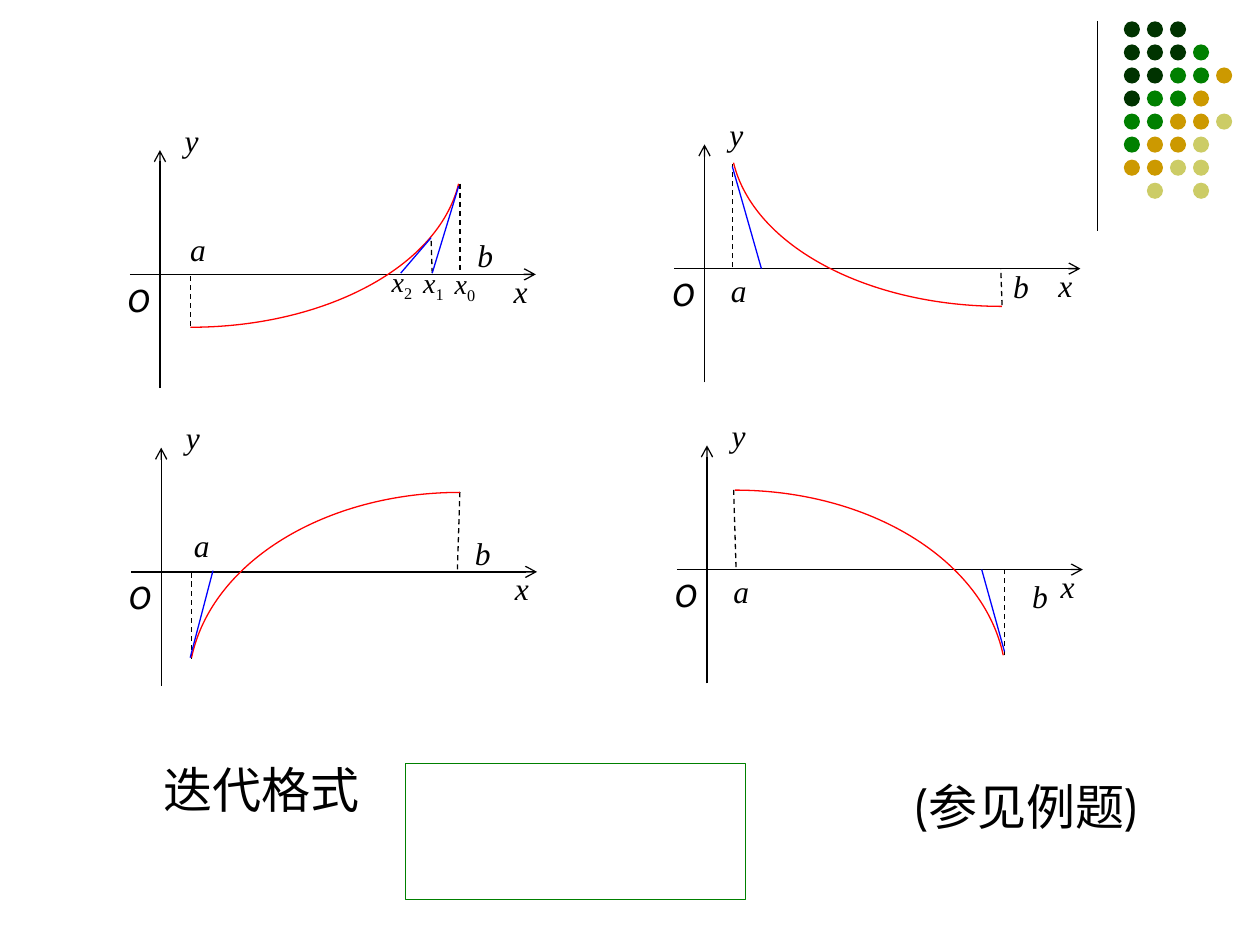
from dataclasses import dataclass

from pptx import Presentation
from pptx.dml.color import RGBColor
from pptx.enum.dml import MSO_LINE
from pptx.enum.shapes import MSO_CONNECTOR, MSO_SHAPE
from pptx.enum.text import MSO_AUTO_SIZE, PP_ALIGN
from pptx.oxml.ns import qn
from pptx.oxml.xmlchemy import OxmlElement
from pptx.util import Pt

STRAIGHT = MSO_CONNECTOR.STRAIGHT
OVAL = MSO_SHAPE.OVAL
RECTANGLE = MSO_SHAPE.RECTANGLE
DASH = MSO_LINE.DASH
CENTER = PP_ALIGN.CENTER
FIT_SHAPE = MSO_AUTO_SIZE.SHAPE_TO_FIT_TEXT

BLACK, RED, BLUE, GREEN = "000000", "FF0000", "0000FF", "008000"
SERIF, SANS = "Times New Roman", "Cabin"
THIN = Pt(0.75)
SYMBOL = {"name": SERIF, "size": Pt(18), "italic": True}
ORIGIN = SYMBOL | {"name": SANS}
ITERATE = SYMBOL | {"size": Pt(16)}
SUBSCRIPT = ITERATE | {"italic": False}
CAPTION = {"name": SANS, "size": Pt(28)}

DOT_COLOURS = {"D": "003300", "G": GREEN, "O": "CC9900", "Y": "CCCC66"}
DOT_ROWS = ["DDD", "DDDG", "DDGGO", "DGGO", "GGOOY", "GOOY", "OOYY", "-Y-Y"]
DOT_LEFT, DOT_TOP, DOT_STEP, DOT_SIZE = 642.2, 12.2, 13.17, 9.2

Point = tuple[float, float]
Segment = tuple[Point, Point]


@dataclass
class Plot:
    """A function graph; all points are relative to the left end of its x axis."""
    axis_start: Point
    flat_end: Point
    steep_end: Point
    label_a: Point
    label_b: Point
    drops: list[Segment]
    tangents: list[Segment]


PLOTS = [
    Plot((74.2, 156.8), (34.6, 30.2), (187.9, -51.8), (25.2, -28.8), (189.4, -25.2),
         [((34.6, 29.5), (34.6, -1.4)), ((188.6, -51.8), (188.6, -1.4)),
          ((172.8, -0.7), (172.1, -21.6))],
         [((187.9, -50.4), (172.8, -0.7)), ((172.1, -20.9), (154.8, -0.7))]),
    Plot((385.4, 153.5), (187.2, 21.6), (33.8, -60.5), (23, -2.2), (184.3, -4.3),
         [((33.1, -0.7), (33.1, -59.8)), ((187.2, 20.9), (186.5, 0))],
         [((33.1, -58.3), (49.7, 0))]),
    Plot((386.8, 325.5), (33.1, -45.4), (186.5, 49), (23, -2.2), (193.7, 0.7),
         [((33.8, -1.4), (32.4, -47.5)), ((187.2, 49), (187.2, -1.4))],
         [((187.2, 46.8), (174.2, 0))]),
    Plot((74.9, 326.8), (187.9, -45.4), (34.6, 49), (26.6, -29.5), (187.2, -25.2),
         [((34.6, 49.7), (34.6, -0.7)), ((186.5, -1.4), (187.9, -46.1))],
         [((33.8, 49), (46.8, -0.7))]),
]


def colour(value: str) -> RGBColor:
    return RGBColor.from_string(value)


def shift(origin: Point, offset: Point) -> Point:
    return origin[0] + offset[0], origin[1] + offset[1]


def add_line(page, start: Point, end: Point, value: str = BLACK,
             dashed: bool = False, arrow: bool = False) -> None:
    connector = page.shapes.add_connector(STRAIGHT, *map(Pt, start + end))
    connector.line.color.rgb = colour(value)
    connector.line.width = THIN
    if dashed:
        connector.line.dash_style = DASH
    properties = connector._element.spPr
    if arrow:
        head = OxmlElement("a:tailEnd")
        head.set("type", "arrow")
        properties.find(qn("a:ln")).append(head)
    properties.append(OxmlElement("a:effectLst"))


def add_text(page, corner: Point, size: Point, spans: list[tuple[str, dict]],
             wrap: bool = True) -> None:
    box = page.shapes.add_textbox(*map(Pt, corner + size))
    box.text_frame.word_wrap = wrap
    box.text_frame.auto_size = FIT_SHAPE
    para = box.text_frame.paragraphs[0]
    para.alignment = CENTER
    for text, style in spans:
        span = para.add_run()
        span.text = text
        for name, value in style.items():
            setattr(span.font, name, value)
        span.font.color.rgb = colour(BLACK)
        if style is SUBSCRIPT:
            span._r.get_or_add_rPr().set("baseline", "-25000")


def add_curve(page, flat: Point, steep: Point) -> None:
    """Draw a cubic that leaves flat horizontally and bends towards steep."""
    width, height = steep[0] - flat[0], steep[1] - flat[1]
    handles = [shift(flat, (width * 0.5, 0)),
               shift(flat, (width * 0.925, height * 0.42))]
    builder = page.shapes.build_freeform(*map(Pt, flat))
    builder.add_line_segments([(Pt(x), Pt(y)) for x, y in handles + [steep]], close=False)
    curve = builder.convert_to_shape()
    outline = next(curve._element.iter(qn("a:path")))
    cubic = OxmlElement("a:cubicBezTo")
    for segment in outline.findall(qn("a:lnTo")):
        cubic.append(segment[0])
        outline.remove(segment)
    outline.append(cubic)
    curve.fill.background()
    curve.line.color.rgb = colour(RED)
    curve.line.width = THIN
    curve.shadow.inherit = False


def add_plot(page, plot: Plot) -> None:
    def place(offset: Point) -> Point:
        return shift(plot.axis_start, offset)

    add_line(page, place((0, 0)), place((232, 0)), arrow=True)
    add_line(page, place((17.2, 65)), place((17.2, -71)), arrow=True)
    for text, style, offset, width in [
        ("O", ORIGIN, (-9.2, 0.2), 28.8),
        ("x", SYMBOL, (210.3, -5), 26),
        ("y", SYMBOL, (22.3, -91.3), 26),
        ("a", SYMBOL, plot.label_a, 27.4),
        ("b", SYMBOL, plot.label_b, 27.4),
    ]:
        add_text(page, place(offset), (width, 28.8), [(text, style)])
    for start, end in plot.drops:
        add_line(page, place(start), place(end), dashed=True)
    add_curve(page, place(plot.flat_end), place(plot.steep_end))
    for start, end in plot.tangents:
        add_line(page, place(start), place(end), BLUE)


def add_dots(page) -> None:
    for row, codes in enumerate(DOT_ROWS):
        for column, code in enumerate(codes):
            if code not in DOT_COLOURS:
                continue
            dot = page.shapes.add_shape(
                OVAL, Pt(DOT_LEFT + column * DOT_STEP), Pt(DOT_TOP + row * DOT_STEP),
                Pt(DOT_SIZE), Pt(DOT_SIZE))
            dot.fill.solid()
            dot.fill.fore_color.rgb = colour(DOT_COLOURS[code])
            dot.line.fill.background()
            dot.shadow.inherit = False


def add_formula_frame(page) -> None:
    frame = page.shapes.add_shape(RECTANGLE, Pt(231.8), Pt(436.4), Pt(194.4), Pt(77.8))
    frame.fill.background()
    frame.line.color.rgb = colour(GREEN)
    frame.line.width = THIN
    frame.shadow.inherit = False


def main() -> None:
    deck = Presentation()
    deck.slide_width, deck.slide_height = Pt(720), Pt(540)
    page = deck.slides.add_slide(deck.slide_layouts[6])
    add_line(page, (627, 12), (627, 132))
    add_dots(page)
    for plot in PLOTS:
        add_plot(page, plot)
    for index in range(3):
        corner = shift(PLOTS[0].axis_start, (177.1 - 18 * index, -7.9 - 0.7 * index))
        add_text(page, corner, (28.8, 29.5), [("x", ITERATE), (str(index), SUBSCRIPT)])
    add_text(page, (86.4, 430.6), (126, 41), [("迭代格式", CAPTION)], wrap=False)
    add_formula_frame(page)
    add_text(page, (507.6, 439.9), (157.7, 41), [("(参见例题)", CAPTION)])
    deck.save("out.pptx")


if __name__ == "__main__":
    main()
